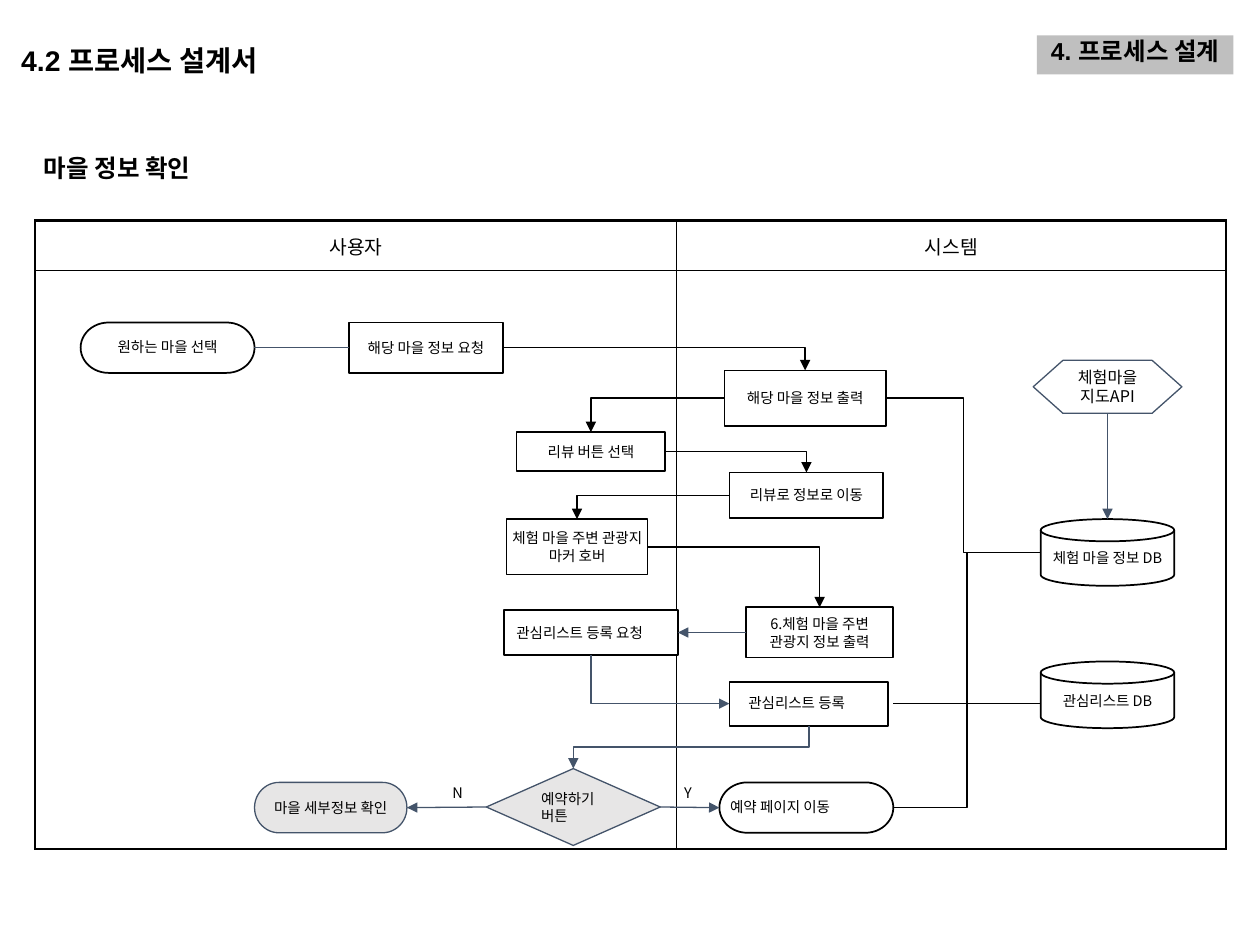
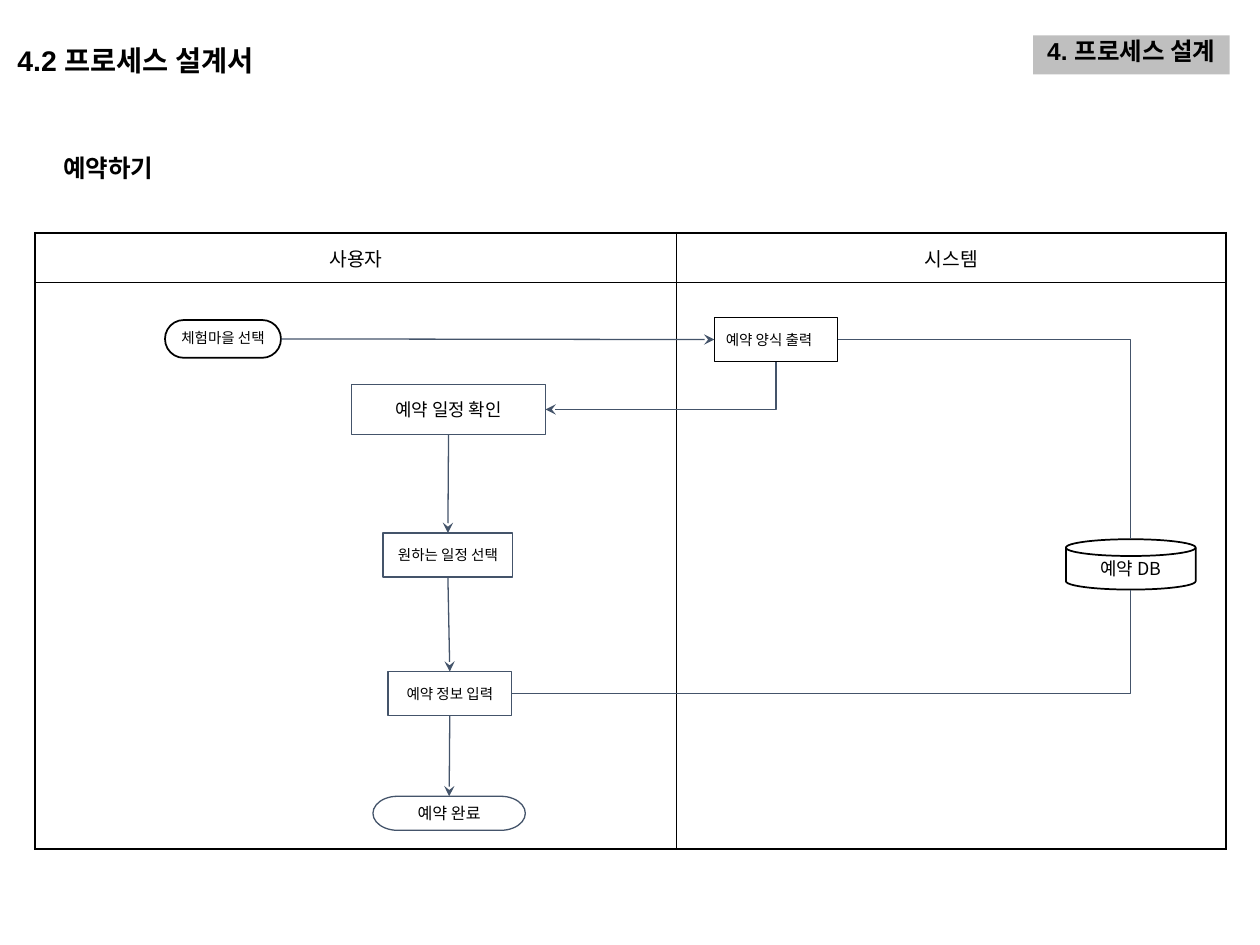
from lxml import etree
from pptx import Presentation
from pptx.dml.color import RGBColor
from pptx.enum.shapes import MSO_CONNECTOR as CONNECTOR, MSO_SHAPE as SHAPE
from pptx.enum.text import MSO_ANCHOR as ANCHOR, PP_ALIGN as ALIGN
from pptx.oxml.ns import qn
from pptx.util import Inches, Pt

COLORS = {"black": "000000", "white": "FFFFFF", "slate": "44546A",
          "light": "E7E6E6", "band": "BFBFBF"}
KOREAN_FONT = "Noto Sans CJK KR"
TITLE_FONT = "Arial"
TIGHT, PROCESS, DISK, ROOMY = (0.02, 0), (0.04, 0.04), (0.04, 0), (0.09, 0.09)


def rgb(name):
    return RGBColor.from_string(COLORS[name])


def set_text(text_frame, text, size, font=KOREAN_FONT, bold=False,
             align=ALIGN.CENTER, spacing=None, anchor=ANCHOR.MIDDLE):
    text_frame.word_wrap = True
    text_frame.vertical_anchor = anchor
    text_frame.text = text
    for paragraph in text_frame.paragraphs:
        paragraph.alignment = align
        if spacing:
            paragraph.line_spacing = spacing
        for run in paragraph.runs:
            run.font.name = font
            run.font.size = Pt(size)
            run.font.bold = bold
            run.font.color.rgb = rgb("black")
            east_asian = etree.SubElement(run.font._element, qn("a:ea"))
            east_asian.set("typeface", KOREAN_FONT)


def set_insets(text_frame, left, top, right, bottom):
    text_frame.margin_left, text_frame.margin_top = Inches(left), Inches(top)
    text_frame.margin_right, text_frame.margin_bottom = Inches(right), Inches(bottom)


def add_node(slide, kind, text, left, top, width, height, inset=TIGHT, fill="white",
             line="black", line_width=1, size=8.3, left_inset=None, **text_style):
    shape = slide.shapes.add_shape(kind, Inches(left), Inches(top),
                                   Inches(width), Inches(height))
    shape.shadow.inherit = False
    shape.fill.solid()
    shape.fill.fore_color.rgb = rgb(fill)
    if line:
        shape.line.color.rgb = rgb(line)
        shape.line.width = Pt(line_width)
    else:
        shape.line.fill.background()
    side, edge = inset
    set_insets(shape.text_frame, side if left_inset is None else left_inset,
               edge, side, edge)
    set_text(shape.text_frame, text, size, **text_style)
    return shape


def add_slate_node(slide, kind, text, *box, **style):
    return add_node(slide, kind, text, *box,
                    **{"inset": ROOMY, "line": "slate", "line_width": 0.75, **style})


def add_label(slide, text, left, top, width, height, size, **text_style):
    label = slide.shapes.add_textbox(Inches(left), Inches(top),
                                     Inches(width), Inches(height))
    set_text(label.text_frame, text, size, **text_style)
    return label


def middle(shape, side):
    """Return the middle point of one side of a shape."""
    center_x = shape.left + shape.width // 2
    center_y = shape.top + shape.height // 2
    return {"left": (shape.left, center_y), "right": (shape.left + shape.width, center_y),
            "top": (center_x, shape.top),
            "bottom": (center_x, shape.top + shape.height)}[side]


def add_line(slide, start, end, color="black", arrow=None, arrow_end="a:tailEnd",
             kind=CONNECTOR.STRAIGHT, width=0.75):
    connector = slide.shapes.add_connector(kind, *start, *end)
    connector.line.color.rgb = rgb(color)
    connector.line.width = Pt(width)
    properties = connector._element.spPr
    if arrow:
        head = etree.SubElement(properties.find(qn("a:ln")), qn(arrow_end))
        head.set("type", arrow)
    etree.SubElement(properties, qn("a:effectLst"))
    return connector


def add_corner(slide, start, end, vertical_first=False, **style):
    """Draw a line with one turn; the preset always leaves its start sideways."""
    if vertical_first:
        start, end = end, start
        style["arrow_end"] = "a:headEnd"
    connector = add_line(slide, start, end, kind=CONNECTOR.ELBOW, **style)
    connector._element.spPr.find(qn("a:prstGeom")).set("prst", "bentConnector2")


def add_vertical_step(slide, start, end, **style):
    """Draw a down, left, down line as an elbow turned by 90 degrees."""
    center_x, center_y = (start[0] + end[0]) // 2, (start[1] + end[1]) // 2
    half_width, half_height = (end[1] - start[1]) // 2, (start[0] - end[0]) // 2
    connector = add_line(slide, (center_x - half_width, center_y - half_height),
                         (center_x + half_width, center_y + half_height),
                         kind=CONNECTOR.ELBOW, **style)
    connector._element.spPr.find(qn("a:xfrm")).set("rot", str(90 * 60000))


def set_borders(cell, **widths):
    properties = cell._tc.get_or_add_tcPr()
    for position, (tag, width) in enumerate(widths.items()):
        border = etree.Element(qn(f"a:{tag}"), w=str(Pt(width)))
        fill = etree.SubElement(border, qn("a:solidFill"))
        etree.SubElement(fill, qn("a:srgbClr"), val=COLORS["black"])
        properties.insert(position, border)


def add_swimlanes(slide, top, row_heights):
    frame = slide.shapes.add_table(2, 2, Inches(0.28), Inches(top),
                                   Inches(9.45), Inches(sum(row_heights)))
    table = frame.table
    table.first_row = table.horz_banding = False
    for column, width in zip(table.columns, (5.09, 4.36)):
        column.width = Inches(width)
    for row, height in zip(table.rows, row_heights):
        row.height = Inches(height)
    outer, inner = 1.5, 0.75
    for row in range(2):
        for column in range(2):
            cell = table.cell(row, column)
            cell.fill.background()
            set_borders(cell, lnL=inner if column else outer, lnR=outer if column else inner,
                        lnT=inner if row else outer, lnB=outer if row else inner)
    for column, lane in enumerate(("사용자", "시스템")):
        cell = table.cell(0, column)
        cell.vertical_anchor = ANCHOR.MIDDLE
        set_text(cell.text_frame, lane, 11)
        cell.vertical_anchor = ANCHOR.MIDDLE


def add_headings(slide, shift, subtitle, subtitle_left, subtitle_width):
    add_label(slide, subtitle, subtitle_left, 1.12, subtitle_width, 0.42, 14, bold=True)
    add_label(slide, "4.2 프로세스 설계서", 0.07 + shift, 0.11, 2.37, 0.68, 16.2,
              font=TITLE_FONT, bold=True, align=ALIGN.LEFT, spacing=1.2)
    add_node(slide, SHAPE.RECTANGLE, "4. 프로세스 설계", 8.23 + shift, 0.28, 1.56, 0.31,
             inset=(0, 0.05), fill="band", line=None, size=14, font=TITLE_FONT,
             bold=True, spacing=0.8, anchor=ANCHOR.TOP)


def build_village_info(slide):
    add_swimlanes(slide, 1.75, (0.4, 4.59))
    rect, process = SHAPE.RECTANGLE, SHAPE.FLOWCHART_PROCESS
    terminator, disk = SHAPE.FLOWCHART_TERMINATOR, SHAPE.FLOWCHART_MAGNETIC_DISK

    pick = add_node(slide, terminator, "원하는 마을 선택", 0.64, 2.56, 1.38, 0.4, spacing=0.9)
    request = add_node(slide, rect, "해당 마을 정보 요청", 2.77, 2.56, 1.22, 0.4)
    show = add_node(slide, process, "해당 마을 정보 출력", 5.75, 2.94, 1.28, 0.44, PROCESS)
    review = add_node(slide, rect, "리뷰 버튼 선택", 4.1, 3.43, 1.18, 0.31)
    village_db = add_node(slide, disk, "체험 마을 정보 DB", 8.26, 4.12, 1.06, 0.53, DISK)
    review_page = add_node(slide, process, "리뷰로 정보로 이동", 5.79, 3.75, 1.22, 0.36, PROCESS)
    hover = add_node(slide, rect, "체험 마을 주변 관광지 마커 호버", 4.02, 4.12, 1.12, 0.44)
    booking = add_node(slide, terminator, "예약 페이지 이동", 5.71, 6.21, 1.38, 0.4,
                       align=ALIGN.LEFT, spacing=0.9)
    nearby = add_node(slide, rect, "6.체험 마을 주변\n관광지 정보 출력", 5.92, 4.82, 1.17, 0.4)
    wish = add_node(slide, process, "관심리스트 등록 요청", 4, 4.84, 1.38, 0.36, PROCESS,
                    left_inset=0.1, align=ALIGN.LEFT)
    register = add_node(slide, rect, "관심리스트 등록", 5.79, 5.41, 1.26, 0.35,
                        left_inset=0.15, align=ALIGN.LEFT, spacing=0.9)
    wish_db = add_node(slide, disk, "관심리스트 DB", 8.26, 5.25, 1.06, 0.53, DISK)
    map_api = add_slate_node(slide, SHAPE.FLOWCHART_PREPARATION, "체험마을 지도API",
                             8.2, 2.86, 1.18, 0.42, size=9.2)
    decision = add_slate_node(slide, SHAPE.FLOWCHART_DECISION, "예약하기 버튼",
                              3.86, 6.1, 1.38, 0.61, fill="light", align=ALIGN.LEFT)
    detail = add_slate_node(slide, terminator, "마을 세부정보 확인",
                            2.02, 6.21, 1.21, 0.4, fill="light")

    for source, side, target in ((request, "right", show), (show, "left", review),
                                 (review, "right", review_page),
                                 (review_page, "left", hover), (hover, "right", nearby)):
        add_corner(slide, middle(source, side), middle(target, "top"), arrow="triangle")
    for target in (show, booking):
        add_line(slide, middle(village_db, "left"), middle(target, "right"),
                 kind=CONNECTOR.ELBOW)
    for source, side, target, target_side in ((map_api, "bottom", village_db, "top"),
                                              (nearby, "left", wish, "right"),
                                              (decision, "right", booking, "left"),
                                              (decision, "left", detail, "right")):
        add_line(slide, middle(source, side), middle(target, target_side),
                 "slate", "triangle")
    add_line(slide, middle(pick, "right"), middle(request, "left"), "slate")
    add_corner(slide, middle(wish, "bottom"), middle(register, "left"),
               vertical_first=True, color="slate", arrow="triangle")
    add_vertical_step(slide, middle(register, "bottom"), middle(decision, "top"),
                      color="slate", arrow="triangle")
    add_line(slide, (Inches(7.09), Inches(5.58)), (wish_db.left, Inches(5.58)), width=0.5)

    for answer, left, width in (("N", 3.5, 0.39), ("Y", 5.34, 0.36)):
        label = add_label(slide, answer, left, 6.15, width, 0.33, 8.3,
                          align=ALIGN.LEFT, anchor=ANCHOR.TOP)
        set_insets(label.text_frame, 0.09, 0.09, 0.09, 0.09)
    add_headings(slide, 0, "마을 정보 확인", 0.13, 1.6)


def build_booking(slide):
    add_swimlanes(slide, 1.85, (0.39, 4.5))
    process, terminator = SHAPE.FLOWCHART_PROCESS, SHAPE.FLOWCHART_TERMINATOR

    pick = add_node(slide, terminator, "체험마을 선택", 1.31, 2.54, 0.92, 0.3, spacing=0.9)
    booking_db = add_node(slide, SHAPE.FLOWCHART_MAGNETIC_DISK, "예약 DB",
                          8.46, 4.28, 1.03, 0.4, DISK, size=10.2)
    form = add_slate_node(slide, SHAPE.RECTANGLE, "예약 양식 출력", 5.67, 2.52, 0.98, 0.35,
                          line="black", align=ALIGN.LEFT)
    check = add_slate_node(slide, process, "예약 일정 확인", 2.79, 3.05, 1.54, 0.4, size=10.2)
    choose = add_slate_node(slide, process, "원하는 일정 선택", 3.04, 4.23, 1.03, 0.35)
    details = add_slate_node(slide, process, "예약 정보 입력", 3.08, 5.33, 0.98, 0.35)
    done = add_slate_node(slide, terminator, "예약 완료", 2.96, 6.32, 1.21, 0.27, size=9.2)

    add_line(slide, middle(pick, "right"), middle(form, "left"), "slate", "stealth")
    add_corner(slide, middle(form, "bottom"), middle(check, "right"),
               vertical_first=True, color="slate", arrow="stealth")
    steps = (check, choose, details, done)
    for step, following in zip(steps, steps[1:]):
        add_line(slide, middle(step, "bottom"), middle(following, "top"), "slate", "stealth")
    add_corner(slide, middle(form, "right"), middle(booking_db, "top"), color="slate")
    add_corner(slide, middle(details, "right"), middle(booking_db, "bottom"), color="slate")
    add_headings(slide, -0.03, "예약하기", 0.24, 1.24)


def main():
    presentation = Presentation()
    presentation.slide_width, presentation.slide_height = Inches(10), Inches(7.5)
    blank = presentation.slide_layouts[6]
    for build in (build_village_info, build_booking):
        build(presentation.slides.add_slide(blank))
    presentation.save("out.pptx")


if __name__ == "__main__":
    main()
